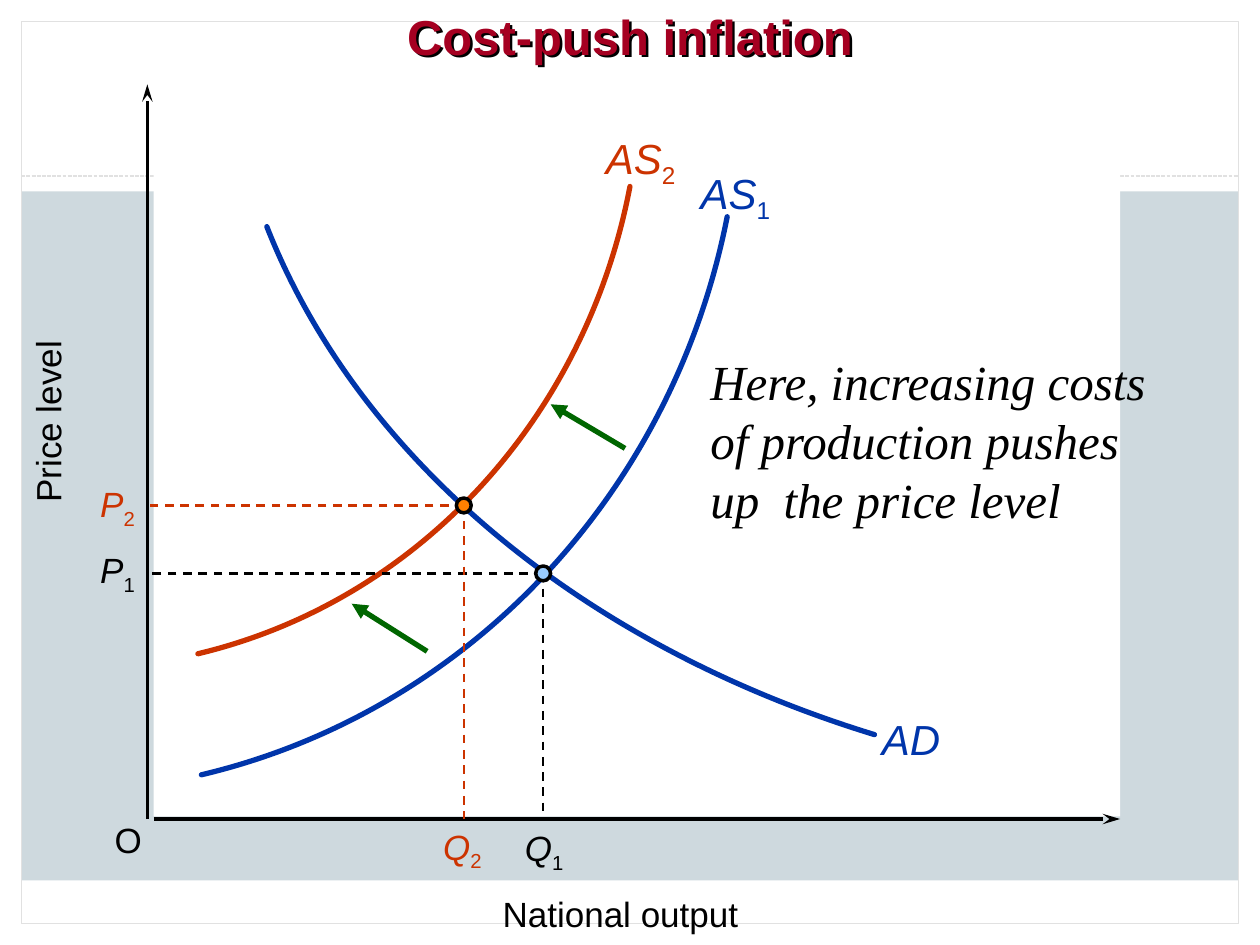
from dataclasses import dataclass

from lxml import etree
from pptx import Presentation
from pptx.dml.color import RGBColor
from pptx.enum.dml import MSO_LINE
from pptx.enum.shapes import MSO_CONNECTOR, MSO_SHAPE
from pptx.enum.text import MSO_AUTO_SIZE, PP_ALIGN
from pptx.oxml.ns import qn
from pptx.util import Cm, Pt

RECTANGLE, ELLIPSE = MSO_SHAPE.RECTANGLE, MSO_SHAPE.OVAL
STRAIGHT = MSO_CONNECTOR.STRAIGHT
DASH, FINE_DASH = MSO_LINE.DASH, MSO_LINE.SQUARE_DOT
LEFT, CENTER, RIGHT = PP_ALIGN.LEFT, PP_ALIGN.CENTER, PP_ALIGN.RIGHT
FIT_SHAPE = MSO_AUTO_SIZE.SHAPE_TO_FIT_TEXT

COLORS = {
    "background": "CED9DE",
    "white": "FFFFFF",
    "black": "000000",
    "frame": "E1E1E1",
    "blue": "0035AA",
    "red": "CC3300",
    "green": "006600",
    "title": "A50021",
    "light blue": "99CCFF",
    "orange": "FF8000",
}
WIDTH, HEIGHT = 25.4, 19.05
MARGIN = 0.43
AXIS_X, AXIS_Y = 2.97, 16.51

Point = tuple[float, float]
Area = tuple[float, float, float, float]


@dataclass
class Curve:
    points: tuple[Point, Point, Point, Point]
    color: str
    name: str
    subscript: str
    label_area: Area


@dataclass
class Equilibrium:
    center: Point
    subscript: str
    color: str
    dot_color: str
    price_area: Area
    quantity_area: Area


CURVES = [
    Curve(((14.66, 4.37), (13.56, 9.96), (9.42, 14.35), (4.06, 15.62)),
          "blue", "AS", "1", (13.87, 3.25, 1.91, 1.42)),
    Curve(((17.63, 14.81), (11.71, 13), (7.21, 9.22), (5.38, 4.57)),
          "blue", "AD", "", (17.53, 14.25, 1.7, 1.27)),
    Curve(((12.7, 3.76), (11.81, 8.43), (8.43, 12.12), (3.99, 13.18)),
          "red", "AS", "2", (11.96, 2.54, 1.91, 1.42)),
]
EQUILIBRIA = [
    Equilibrium((10.95, 11.56), "1", "black", "light blue",
                (1.75, 10.93, 1.22, 1.22), (10.31, 16.54, 1.3, 1.22)),
    Equilibrium((9.35, 10.19), "2", "red", "orange",
                (1.75, 9.6, 1.22, 1.22), (8.66, 16.51, 1.3, 1.22)),
]
SHIFT_ARROWS = [((8.61, 13.13), (7.09, 12.17)), ((12.6, 9.04), (11.1, 8.15))]


def rgb(color: str) -> RGBColor:
    return RGBColor.from_string(COLORS[color])


def add_shape(page, kind, area: Area, fill: str = "", line: str = "",
              weight: float = 0.75) -> None:
    shape = page.shapes.add_shape(kind, *map(Cm, area))
    shape.shadow.inherit = False
    if fill:
        shape.fill.solid()
        shape.fill.fore_color.rgb = rgb(fill)
    else:
        shape.fill.background()
    if line:
        shape.line.color.rgb = rgb(line)
        shape.line.width = Pt(weight)
    else:
        shape.line.fill.background()


def add_line(page, start: Point, end: Point, color: str, weight: float,
             dash=None, arrowhead: str = "", head_length: str = "med") -> None:
    line = page.shapes.add_connector(STRAIGHT, *map(Cm, start + end))
    line.line.color.rgb = rgb(color)
    line.line.width = Pt(weight)
    if dash:
        line.line.dash_style = dash
    properties = line._element.spPr
    if arrowhead:
        outline = properties.find(qn("a:ln"))
        etree.SubElement(outline, qn("a:tailEnd"), type=arrowhead, len=head_length)
    etree.SubElement(properties, qn("a:effectLst"))


def add_curve(page, curve: Curve) -> None:
    """Draw a cubic Bezier curve whose control points lie between its ends."""
    start, *others = [(Cm(x), Cm(y)) for x, y in curve.points]
    builder = page.shapes.build_freeform(*start)
    builder.add_line_segments(others, close=False)
    shape = builder.convert_to_shape()
    segments = list(shape._element.iter(qn("a:lnTo")))
    bezier = etree.SubElement(segments[0].getparent(), qn("a:cubicBezTo"))
    for segment in segments:
        bezier.append(segment[0])
        segment.getparent().remove(segment)
    shape.shadow.inherit = False
    shape.fill.background()
    shape.line.color.rgb = rgb(curve.color)
    shape.line.width = Pt(3)
    shape._element.spPr.find(qn("a:ln")).set("cap", "rnd")


def add_text(page, text: str, area: Area, *, subscript: str = "",
             size: float = 20, font: str = "Arial", color: str = "black",
             bold: bool = False, italic: bool = False, align=LEFT,
             wrap: bool = False, rotation: float = 0, shadow: bool = False) -> None:
    box = page.shapes.add_textbox(*map(Cm, area))
    box.rotation = rotation
    frame = box.text_frame
    frame.word_wrap = wrap
    frame.auto_size = FIT_SHAPE
    para = frame.paragraphs[0]
    para.alignment = align
    for part in filter(None, (text, subscript)):
        span = para.add_run()
        span.text = part
        span.font.size = Pt(size)
        span.font.name = font
        span.font.bold = bold
        span.font.italic = italic
        span.font.color.rgb = rgb(color)
    if subscript:
        span.font.italic = False
        span._r.get_or_add_rPr().set("baseline", "-25000")
    if shadow:
        effects = etree.SubElement(box._element.spPr, qn("a:effectLst"))
        outer = etree.SubElement(effects, qn("a:outerShdw"),
                                 dist=str(Pt(2)), dir="2700000")
        etree.SubElement(outer, qn("a:srgbClr"), val=COLORS["black"])


def add_backdrop(page) -> None:
    page.background.fill.solid()
    page.background.fill.fore_color.rgb = rgb("background")
    inner_width = WIDTH - 2 * MARGIN
    for area in (
        (0, HEIGHT - MARGIN, WIDTH, MARGIN),
        (0, 0, WIDTH, 3.86),
        (0, 0, MARGIN, HEIGHT),
        (WIDTH - MARGIN, 0, MARGIN, HEIGHT),
        (MARGIN, 17.75, inner_width, 0.87),
    ):
        add_shape(page, RECTANGLE, area, fill="white")
    add_shape(page, RECTANGLE, (MARGIN, MARGIN, inner_width, HEIGHT - 2 * MARGIN),
              line="frame")
    add_line(page, (MARGIN, 3.55), (WIDTH - MARGIN, 3.55), "frame", 0.75, FINE_DASH)
    add_shape(page, RECTANGLE, (3.1, 1.65, 19.48, 14.81), fill="white")


def add_axes(page) -> None:
    for start, end in (((AXIS_X, AXIS_Y), (AXIS_X, 1.7)),
                       ((3.1, AXIS_Y), (22.58, AXIS_Y))):
        add_line(page, start, end, "black", 2, arrowhead="stealth", head_length="lg")
    add_text(page, "O", (2.06, 16.38, 1.07, 1.09))
    add_text(page, "Price level", (-0.94, 7.95, 3.78, 1.09), rotation=270)
    add_text(page, "National output", (9.88, 17.86, 5.26, 1.09), align=CENTER)


def main() -> None:
    deck = Presentation()
    deck.slide_width, deck.slide_height = Cm(WIDTH), Cm(HEIGHT)
    page = deck.slides.add_slide(deck.slide_layouts[6])
    add_backdrop(page)
    add_axes(page)
    for curve in CURVES:
        add_curve(page, curve)
        add_text(page, curve.name, curve.label_area, subscript=curve.subscript,
                 size=24, color=curve.color, italic=True,
                 align=CENTER if curve.subscript else LEFT)
    for point in EQUILIBRIA:
        x, y = point.center
        add_line(page, (x, y), (AXIS_X, y), point.color, 1.25, DASH)
        add_line(page, (x, y), (x, AXIS_Y), point.color, 1.25, DASH)
        for letter, area in (("P", point.price_area), ("Q", point.quantity_area)):
            add_text(page, letter, area, subscript=point.subscript,
                     color=point.color, italic=True, align=RIGHT)
    for point in EQUILIBRIA:
        x, y = point.center
        add_shape(page, ELLIPSE, (x - 0.15, y - 0.15, 0.3, 0.3),
                  fill=point.dot_color, line="black", weight=2)
    add_text(page, "Cost-push inflation", (0, 0, WIDTH, 1.45), size=28,
             color="title", bold=True, align=CENTER, wrap=True, shadow=True)
    for start, end in SHIFT_ARROWS:
        add_line(page, start, end, "green", 3, arrowhead="triangle")
    add_text(page, "Here, increasing costs of production pushes up  the price level",
             (14.07, 6.96, 9.75, 3.81), size=28, font="Times New Roman",
             italic=True, wrap=True)
    deck.save("out.pptx")


if __name__ == "__main__":
    main()
